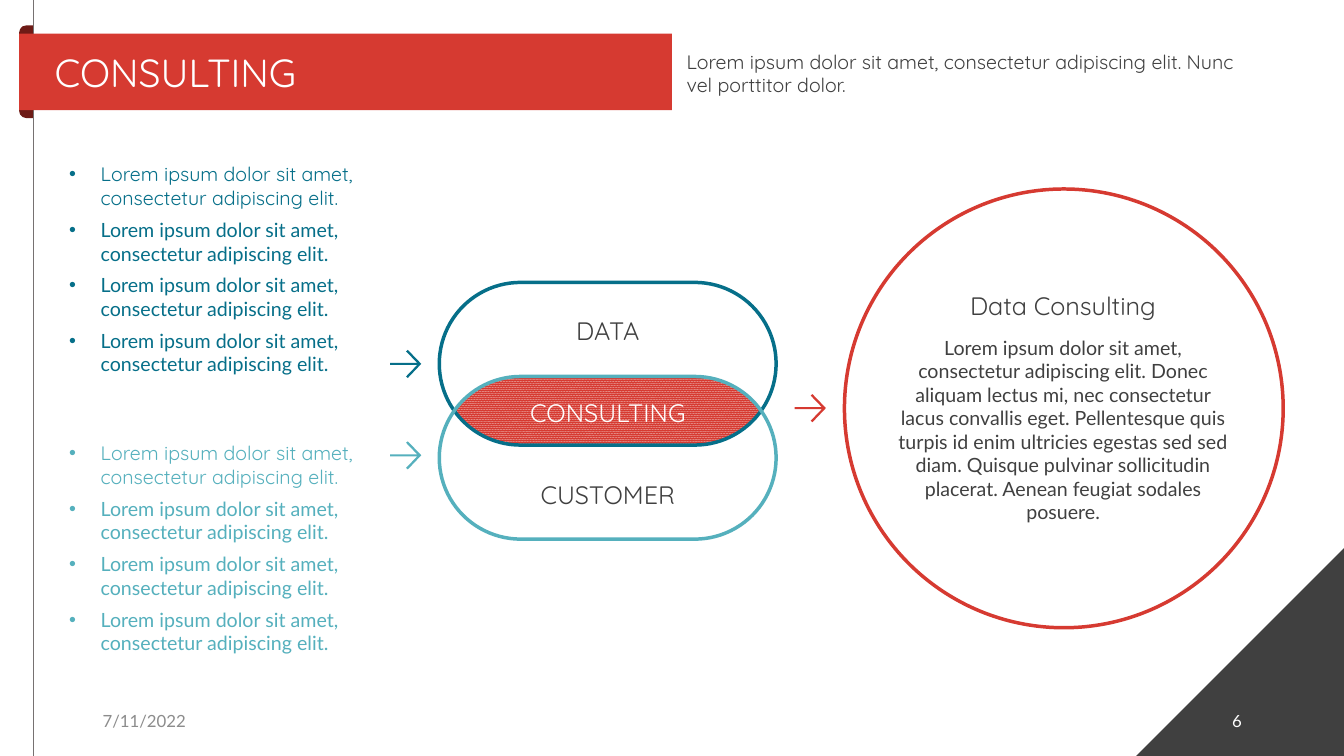
"""Build the consulting slide with two overlapping pills and a result circle."""
from math import asin, cos, degrees, radians, sin
from lxml.etree import SubElement
from pptx import Presentation
from pptx.dml.color import RGBColor
from pptx.enum.dml import MSO_PATTERN
from pptx.enum.shapes import MSO_CONNECTOR, MSO_SHAPE
from pptx.enum.text import MSO_ANCHOR, MSO_AUTO_SIZE, PP_ALIGN
from pptx.oxml.ns import qn
from pptx.util import Pt

RED, TEAL, AQUA, DARK, WHITE = "D63A31", "066F89", "55B0BD", "404040", "FFFFFF"
HEAD, BODY = "Quicksand", "Lato"
LOREM = "Lorem ipsum dolor sit amet, consectetur adipiscing elit."

rgb = RGBColor.from_string

prs = Presentation()
prs.slide_width, prs.slide_height = Pt(960), Pt(540)
slide = prs.slides.add_slide(prs.slide_layouts[6])
shapes = slide.shapes


def add_shape(kind, x, y, w, h, fill=None, line=None, rotation=0):
    sp = shapes.add_shape(kind, Pt(x), Pt(y), Pt(w), Pt(h))
    sp.shadow.inherit = False
    sp.rotation = rotation
    if fill:
        sp.fill.solid()
        sp.fill.fore_color.rgb = rgb(fill)
    else:
        sp.fill.background()
    if line:
        sp.line.color.rgb = rgb(line)
        sp.line.width = Pt(2.5)
    else:
        sp.line.fill.background()
    return sp


def add_text(x, y, w, h, text, size, font, color, align=PP_ALIGN.LEFT,
             anchor=MSO_ANCHOR.TOP, inset=True):
    tf = shapes.add_textbox(Pt(x), Pt(y), Pt(w), Pt(h)).text_frame
    tf.word_wrap = True
    tf.vertical_anchor = anchor
    if not inset:
        tf.margin_left = tf.margin_top = tf.margin_right = tf.margin_bottom = 0
        tf.auto_size = MSO_AUTO_SIZE.SHAPE_TO_FIT_TEXT
    tf.text = text
    for p in tf.paragraphs:
        p.alignment = align
        for r in p.runs:
            r.font.size, r.font.name = Pt(size), font
            r.font.color.rgb = rgb(color)
    return tf


add_shape(MSO_SHAPE.RIGHT_TRIANGLE, 811.5, 391.5, 148.5, 148.5, DARK, rotation=270)
tab = add_shape(MSO_SHAPE.ROUND_2_SAME_RECTANGLE, -14.4, 46.2, 66.2, 10, "6E1B16", rotation=270)
tab.adjustments[0] = 0.5
add_text(66.2, 500.4, 216, 28.8, "7/11/2022", 12, BODY, "8C8C8C", anchor=MSO_ANCHOR.MIDDLE)
add_text(678.2, 500.4, 216, 28.8, "6", 12, BODY, WHITE, PP_ALIGN.RIGHT, MSO_ANCHOR.MIDDLE)

rule = shapes.add_connector(MSO_CONNECTOR.STRAIGHT, Pt(23.8), 0, Pt(23.8), Pt(540))
rule.line.color.rgb = rgb("767171")
rule.line.width = Pt(0.5)
SubElement(rule._element.spPr, qn("a:effectLst"))

add_shape(MSO_SHAPE.RECTANGLE, 13.7, 24, 466.3, 54.7, RED)
add_text(39, 34.5, 415.4, 33.9, "CONSULTING", 28, HEAD, WHITE,
         anchor=MSO_ANCHOR.MIDDLE, inset=False)
add_text(490.4, 35.5, 404, 33.9, LOREM + " Nunc vel porttitor dolor.", 14, HEAD, DARK,
         anchor=MSO_ANCHOR.MIDDLE, inset=False)

pill_x, pill_w, pill_h = 313.8, 240.6, 116.2
data_y, customer_y = 201.7, 268.9
radius = pill_h / 2
left, right = pill_x + radius, pill_x + pill_w - radius
upper, lower = data_y + radius, customer_y + radius
cut = degrees(asin((lower - upper) / pill_h))
lens = []
for cx, cy, start, end in [(left, lower, 180 + cut, 270), (right, lower, 270, 360 - cut),
                           (right, upper, cut, 90), (left, upper, 90, 180 - cut)]:
    for step in range(13):
        angle = radians(start + (end - start) * step / 12)
        lens.append((cx + radius * cos(angle), cy + radius * sin(angle)))

arrow = [(22.3, 10), (12.7, 0), (11.5, 1.1), (19.4, 9.3), (0, 9.3),
         (0, 10.8), (19.4, 10.8), (11.5, 19), (12.7, 20.1)]
outlines = [(lens, RED)]
for x, y, color in [(278.6, 249.9, TEAL), (278.6, 315.2, AQUA), (567.6, 281.5, RED)]:
    outlines.append(([(x + dx, y + dy) for dx, dy in arrow], color))
for points, color in outlines:
    points = [(Pt(x), Pt(y)) for x, y in points]
    builder = shapes.build_freeform(*points[0])
    builder.add_line_segments(points[1:], close=True)
    sp = builder.convert_to_shape()
    sp.shadow.inherit = False
    sp.line.fill.background()
    if color == RED and len(points) == len(lens):
        sp.fill.patterned()
        sp.fill.pattern = MSO_PATTERN.PERCENT_90
        sp.fill.fore_color.rgb = rgb(RED)
        sp.fill.back_color.rgb = rgb("E68983")
    else:
        sp.fill.solid()
        sp.fill.fore_color.rgb = rgb(color)

for y, color in [(data_y, TEAL), (customer_y, AQUA)]:
    pill = add_shape(MSO_SHAPE.ROUNDED_RECTANGLE, pill_x, y, pill_w, pill_h, line=color)
    pill.adjustments[0] = 0.5
for y, label, color in [(283.8, "CONSULTING", WHITE), (225.4, "DATA", DARK),
                        (342.2, "CUSTOMER", DARK)]:
    add_text(345.3, y, 177.8, 21.8, label, 18, HEAD, color, PP_ALIGN.CENTER, inset=False)

for y, color in [(116, TEAL), (315, AQUA)]:
    tf = add_text(49.4, y, 216, 154, "\n".join([LOREM] * 4), 14, BODY, color, inset=False)
    tf.paragraphs[0].runs[0].font.name = HEAD
    for p in tf.paragraphs:
        p.space_before = Pt(6)
        pPr = p._p.get_or_add_pPr()
        pPr.set("marL", str(Pt(22.5)))
        pPr.set("indent", str(-Pt(22.5)))
        SubElement(pPr, qn("a:buFont")).set("typeface", "Arial")
        SubElement(pPr, qn("a:buChar")).set("char", "•")

add_shape(MSO_SHAPE.OVAL, 603.2, 135, 313.4, 313.4, line=RED)
add_text(670.4, 207.6, 177.8, 21.8, "Data Consulting", 18, HEAD, DARK,
         PP_ALIGN.CENTER, inset=False)
body = add_text(637.7, 239.6, 243.4, 135.7, LOREM + " Donec aliquam lectus mi, nec consectetur "
                "lacus convallis eget. Pellentesque quis turpis id enim ultricies egestas sed sed "
                "diam. Quisque pulvinar sollicitudin placerat. Aenean feugiat sodales posuere.",
                14, BODY, DARK, PP_ALIGN.CENTER, inset=False)
body.paragraphs[0].space_before = Pt(6)

prs.save("out.pptx")
